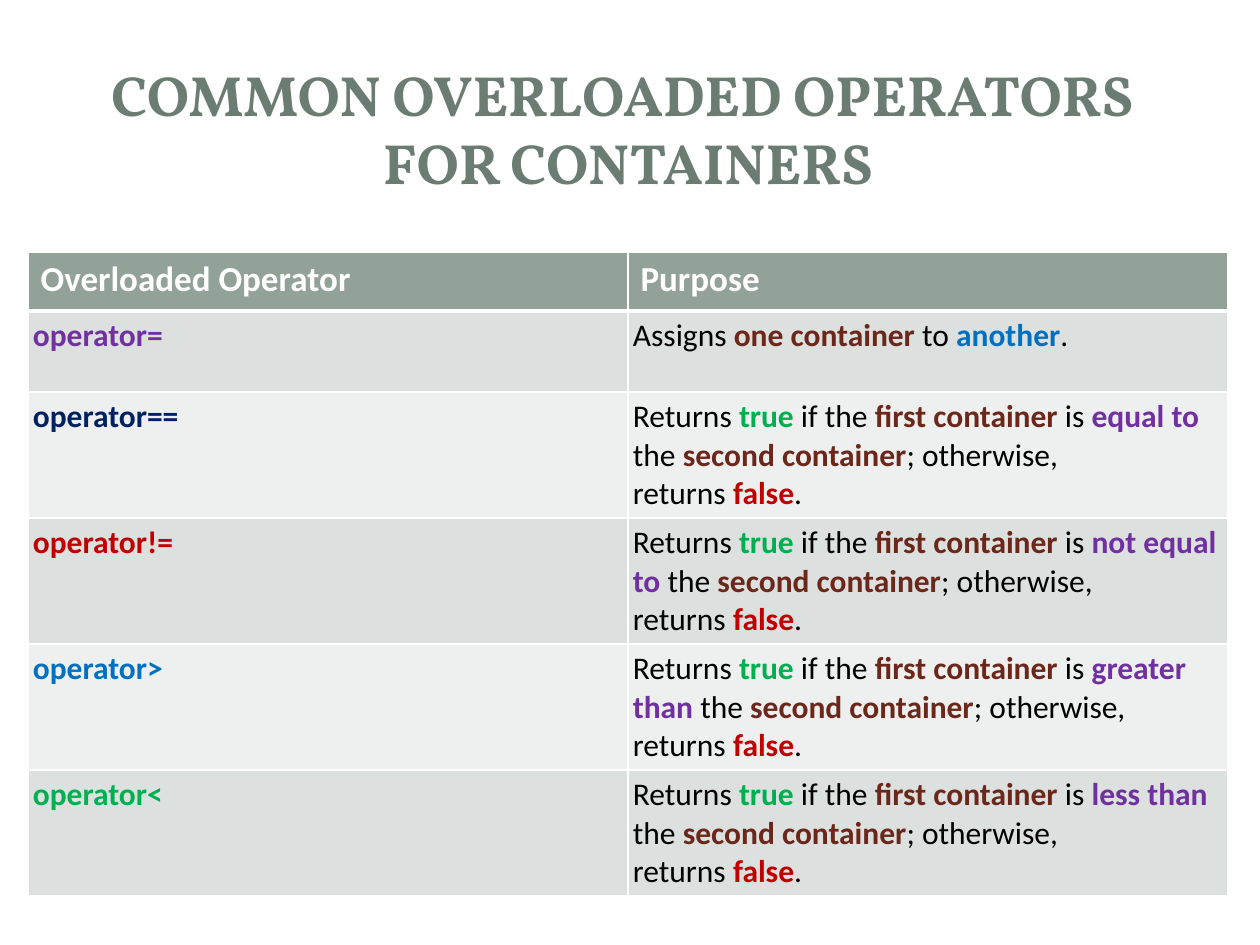
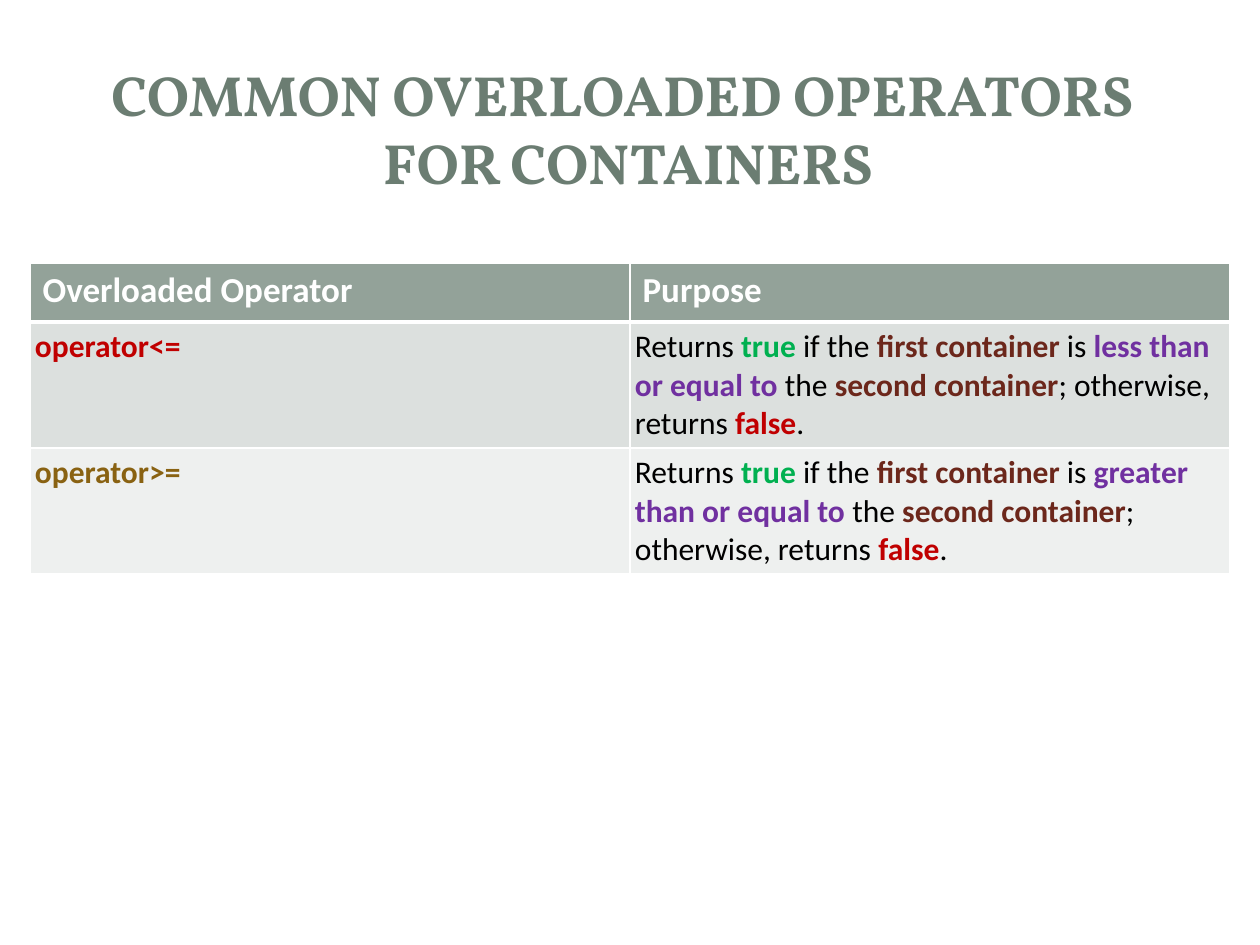
from lxml import etree
from pptx import Presentation
from pptx.dml.color import RGBColor
from pptx.enum.shapes import MSO_SHAPE
from pptx.enum.text import MSO_ANCHOR, PP_ALIGN
from pptx.oxml.ns import qn
from pptx.util import Emu, Pt

SCALE = 914400 / 126  # EMU per px

WHITE = RGBColor(0xFF, 0xFF, 0xFF)
BLACK = RGBColor(0x00, 0x00, 0x00)
SAGE = RGBColor(0x93, 0xA2, 0x99)
DARK_SAGE = RGBColor(0x6B, 0x7D, 0x72)
BANDS = [RGBColor(0xDC, 0xE0, 0xDE), RGBColor(0xEE, 0xF0, 0xEF)]
PURPLE = RGBColor(0x70, 0x30, 0xA0)
NAVY = RGBColor(0x00, 0x20, 0x60)
RED = RGBColor(0xC0, 0x00, 0x00)
BLUE = RGBColor(0x00, 0x70, 0xC0)
GREEN = RGBColor(0x00, 0xB0, 0x50)
BROWN = RGBColor(0x6C, 0x27, 0x1B)
GOLD = RGBColor(0x89, 0x62, 0x12)

NBSP = chr(160)  # keeps "returns false" on one line
TITLE = "COMMON OVERLOADED OPERATORS \vFOR CONTAINERS"
HEADINGS = ["Overloaded Operator", "Purpose"]
COLUMN_WIDTH = 600
HEADER_HEIGHT, ONE_LINE_HEIGHT, THREE_LINE_HEIGHT = 59, 81, 126
SIDE_INSET, TOP_INSET = 5, 6

# Page, title band and title plate: outline, left, top, width, height, opacity in %
PANELS = [
    (MSO_SHAPE.ROUNDED_RECTANGLE, 13, 14, 1235, 919, 100),
    (MSO_SHAPE.RECTANGLE, 38, 38, 1184, 183, 83),
    (MSO_SHAPE.RECTANGLE, 52, 52, 1155, 154, 100),
]

ASSIGNMENT = [("Assigns ", BLACK), ("one container ", BROWN), ("to ", BLACK),
              ("another", BLUE), (".", BLACK)]

# Table position, then each operator with its colour and the comparison it makes
SLIDES = [
    (28, 252, [("operator=", PURPLE, None),
               ("operator==", NAVY, "equal to"),
               ("operator!=", RED, "not equal to"),
               ("operator>", BLUE, "greater than"),
               ("operator<", GREEN, "less than")]),
    (30, 263, [("operator<=", RED, "less than or equal to"),
               ("operator>=", GOLD, "greater than or equal to")]),
]


def px(length):
    return Emu(round(length * SCALE))


def fill_cell(cell, runs, size, fill, top=1, bottom=1):
    """Write coloured runs, bold unless black, on a fill with white borders (pt)."""
    paragraph = cell.text_frame.paragraphs[0]
    paragraph.font.size = Pt(size)
    paragraph.font.name = "Calibri"
    for text, color in runs:
        run = paragraph.add_run()
        run.text = text
        run.font.bold = color != BLACK
        run.font.color.rgb = color
    cell.fill.solid()
    cell.fill.fore_color.rgb = fill
    properties = cell._tc.get_or_add_tcPr()
    borders = [("L", 1), ("R", 1), ("T", top), ("B", bottom)]
    for index, (side, width) in enumerate(borders):
        line = etree.Element(qn(f"a:ln{side}"), w=str(Pt(width)))
        solid = etree.SubElement(line, qn("a:solidFill"))
        etree.SubElement(solid, qn("a:srgbClr"), val=str(WHITE))
        properties.insert(index, line)


prs = Presentation()
prs.slide_width, prs.slide_height = px(1260), px(945)

for left, top, operators in SLIDES:
    slide = prs.slides.add_slide(prs.slide_layouts[6])

    for outline, *box, opacity in PANELS:
        panel = slide.shapes.add_shape(outline, *map(px, box))
        panel.shadow.inherit = False
        panel.line.fill.background()
        panel.fill.solid()
        panel.fill.fore_color.rgb = WHITE
        if outline == MSO_SHAPE.ROUNDED_RECTANGLE:
            panel.adjustments[0] = 0.02
        if opacity < 100:
            tint = panel._element.spPr.find(f".//{qn('a:srgbClr')}")
            etree.SubElement(tint, qn("a:alpha"), val=str(opacity * 1000))

    title = slide.shapes.add_textbox(px(59), px(56), px(1138), px(144)).text_frame
    title.word_wrap = True
    title.vertical_anchor = MSO_ANCHOR.MIDDLE
    title.text = TITLE
    heading = title.paragraphs[0]
    heading.alignment = PP_ALIGN.CENTER
    heading.font.name = "Vollkorn"
    heading.font.size = Pt(32.4)
    heading.font.bold = True
    heading.font.color.rgb = DARK_SAGE

    heights = [HEADER_HEIGHT] + [
        THREE_LINE_HEIGHT if comparison else ONE_LINE_HEIGHT
        for _, _, comparison in operators]
    table = slide.shapes.add_table(
        len(heights), len(HEADINGS), px(left), px(top),
        px(COLUMN_WIDTH * len(HEADINGS)), px(sum(heights))).table
    for row, height in zip(table.rows, heights):
        row.height = px(height)

    for column, text in enumerate(HEADINGS):
        table.columns[column].width = px(COLUMN_WIDTH)
        fill_cell(table.cell(0, column), [(text, WHITE)], 20, SAGE, bottom=3)

    for row, (operator, color, comparison) in enumerate(operators, start=1):
        purpose = ASSIGNMENT
        if comparison:
            purpose = [(f"Returns{NBSP}", BLACK), ("true", GREEN),
                       (f"{NBSP}if the ", BLACK), ("first container ", BROWN),
                       ("is ", BLACK), (comparison, PURPLE), (" the ", BLACK),
                       ("second container", BROWN),
                       (f"; otherwise, returns{NBSP}", BLACK), ("false", RED),
                       (".", BLACK)]
        for column, runs in enumerate([[(operator, color)], purpose]):
            cell = table.cell(row, column)
            cell.margin_left = cell.margin_right = px(SIDE_INSET)
            cell.margin_top = cell.margin_bottom = px(TOP_INSET)
            fill_cell(cell, runs, 18, BANDS[(row - 1) % 2], top=3 if row == 1 else 1)

prs.save("out.pptx")
